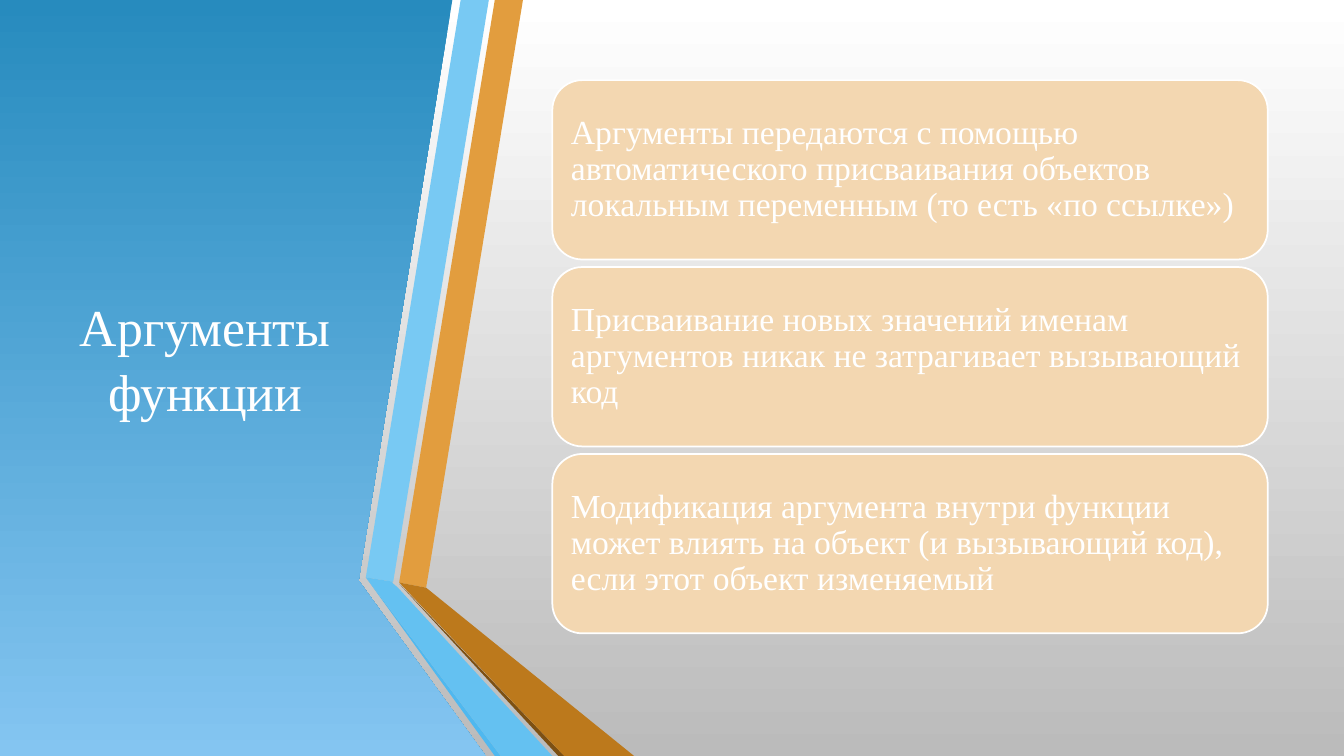
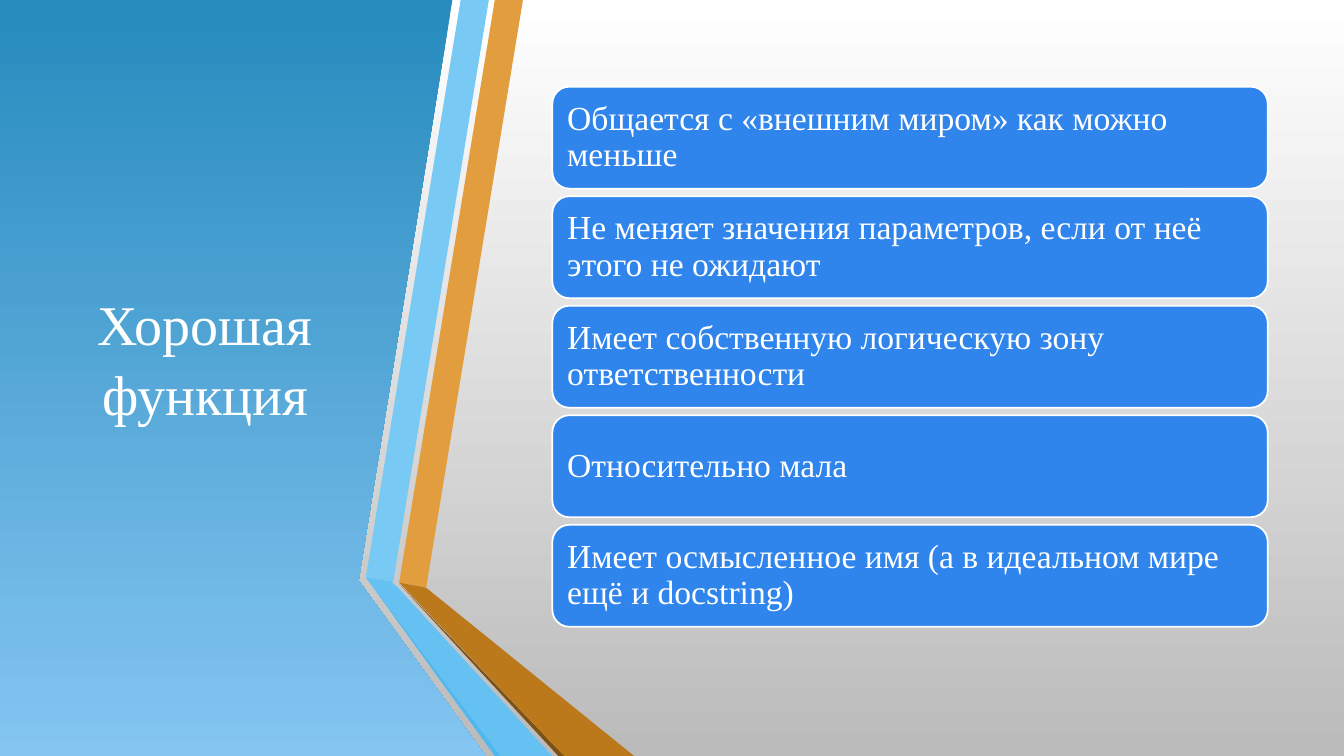
from pptx import Presentation
from pptx.dml.color import RGBColor
from pptx.enum.shapes import MSO_SHAPE
from pptx.enum.text import MSO_ANCHOR, PP_ALIGN
from pptx.util import Cm, Pt

ROUNDED = MSO_SHAPE.ROUNDED_RECTANGLE
MIDDLE = MSO_ANCHOR.MIDDLE
LEFT, CENTER = PP_ALIGN.LEFT, PP_ALIGN.CENTER

WHITE = RGBColor(0xFF, 0xFF, 0xFF)
GREY = RGBColor(0xBB, 0xBB, 0xBB)
PANEL_TOP = RGBColor(0x27, 0x8B, 0xBE)
PANEL_BOTTOM = RGBColor(0x84, 0xC5, 0xF1)
ORANGE = RGBColor(0xE2, 0x9D, 0x3E)
BROWN = RGBColor(0xBC, 0x79, 0x1C)
DARK_BROWN = RGBColor(0x7D, 0x50, 0x13)
LIGHT_BLUE = RGBColor(0x78, 0xC9, 0xF3)
SKY_BLUE = RGBColor(0x64, 0xC1, 0xF1)
DEEP_BLUE = RGBColor(0x4F, 0xB8, 0xEF)
SAND = RGBColor(0xF3, 0xD7, 0xB1)
BLUE = RGBColor(0x30, 0x85, 0xED)

FONT = "Times New Roman"

# Outlines in centimetres, from back to front
PANEL = [(0, 0), (11.4, 0), (9.04, 14.63), (12.24, 19.05), (0, 19.05)]
RIBBONS = [
    (ORANGE, [(10.06, 14.68), (10.74, 14.81), (13.18, 0), (12.47, 0)]),
    (LIGHT_BLUE, [(12.32, 0), (11.61, 0), (9.22, 14.55), (9.91, 14.66)]),
    (DEEP_BLUE, [(9.22, 14.55), (12.47, 19.05), (12.62, 19.05)]),
    (DARK_BROWN, [(10.06, 14.71), (14.07, 19.05), (14.22, 19.05)]),
    (BROWN, [(10.06, 14.68), (14.22, 19.05), (15.98, 19.05), (10.74, 14.81)]),
    (SKY_BLUE, [(13.92, 19.05), (10.03, 14.81), (9.88, 14.68), (9.91, 14.66),
                (9.22, 14.55), (12.62, 19.05)]),
]

# Cards stand in a column around a common centre line
CARD_LEFT, CARD_WIDTH, CARD_GAP = 13.92, 18.03, 0.19
COLUMN_CENTER = 8.99

PAGES = [
    {"title": "Аргументы функции", "title_size": 37,
     "card_color": SAND, "card_height": 4.52,
     "cards": [
         "Аргументы передаются с помощью автоматического присваивания "
         "объектов локальным переменным (то есть «по ссылке»)",
         "Присваивание новых значений именам аргументов никак не "
         "затрагивает вызывающий код",
         "Модификация аргумента внутри функции может влиять на объект "
         "(и вызывающий код), если этот объект изменяемый",
     ]},
    {"title": "Хорошая функция", "title_size": 40,
     "card_color": BLUE, "card_height": 2.57,
     "cards": [
         "Общается с «внешним миром» как можно меньше",
         "Не меняет значения параметров, если от неё этого не ожидают",
         "Имеет собственную логическую зону ответственности",
         "Относительно мала",
         "Имеет осмысленное имя (а в идеальном мире ещё и docstring)",
     ]},
]


def set_gradient(fill, top_color, bottom_color):
    fill.gradient()
    fill.gradient_angle = 270
    for stop, color in zip(fill.gradient_stops, (top_color, bottom_color)):
        stop.color.rgb = color


def write_text(box, text, size, align, spacing):
    frame = box.text_frame
    frame.word_wrap = True
    frame.vertical_anchor = MIDDLE
    para = frame.paragraphs[0]
    para.alignment = align
    para.line_spacing = spacing
    span = para.add_run()
    span.text = text
    span.font.color.rgb = WHITE
    for name, value in {"name": FONT, "size": Pt(size)}.items():
        setattr(span.font, name, value)
    return frame


deck = Presentation()
deck.slide_width, deck.slide_height = Cm(33.87), Cm(19.05)
set_gradient(deck.slide_master.background.fill, WHITE, GREY)

for content in PAGES:
    page = deck.slides.add_slide(deck.slide_layouts[6])

    # Side panel and ribbons
    for color, points in [(None, PANEL)] + RIBBONS:
        corners = [(Cm(x), Cm(y)) for x, y in points]
        builder = page.shapes.build_freeform(*corners[0])
        builder.add_line_segments(corners[1:])
        outline = builder.convert_to_shape()
        outline.shadow.inherit = False
        outline.line.fill.background()
        if color is None:
            set_gradient(outline.fill, PANEL_TOP, PANEL_BOTTOM)
        else:
            outline.fill.solid()
            outline.fill.fore_color.rgb = color

    # Title
    box = page.shapes.add_textbox(Cm(1.5), Cm(1.9), Cm(7.34), Cm(14.17))
    write_text(box, content["title"], content["title_size"], CENTER, 1.05)

    # Cards
    height = content["card_height"]
    pitch = height + CARD_GAP
    first_top = COLUMN_CENTER - (len(content["cards"]) * pitch - CARD_GAP) / 2
    for row, text in enumerate(content["cards"]):
        card = page.shapes.add_shape(ROUNDED, Cm(CARD_LEFT), Cm(first_top + row * pitch),
                                     Cm(CARD_WIDTH), Cm(height))
        card.shadow.inherit = False
        card.fill.solid()
        card.fill.fore_color.rgb = content["card_color"]
        card.line.color.rgb = WHITE
        card.line.width = Pt(1.25)
        frame = write_text(card, text, 24, LEFT, 0.9)
        for side in ("left", "top", "right", "bottom"):
            setattr(frame, "margin_" + side, Cm(0.25))

deck.save("out.pptx")
